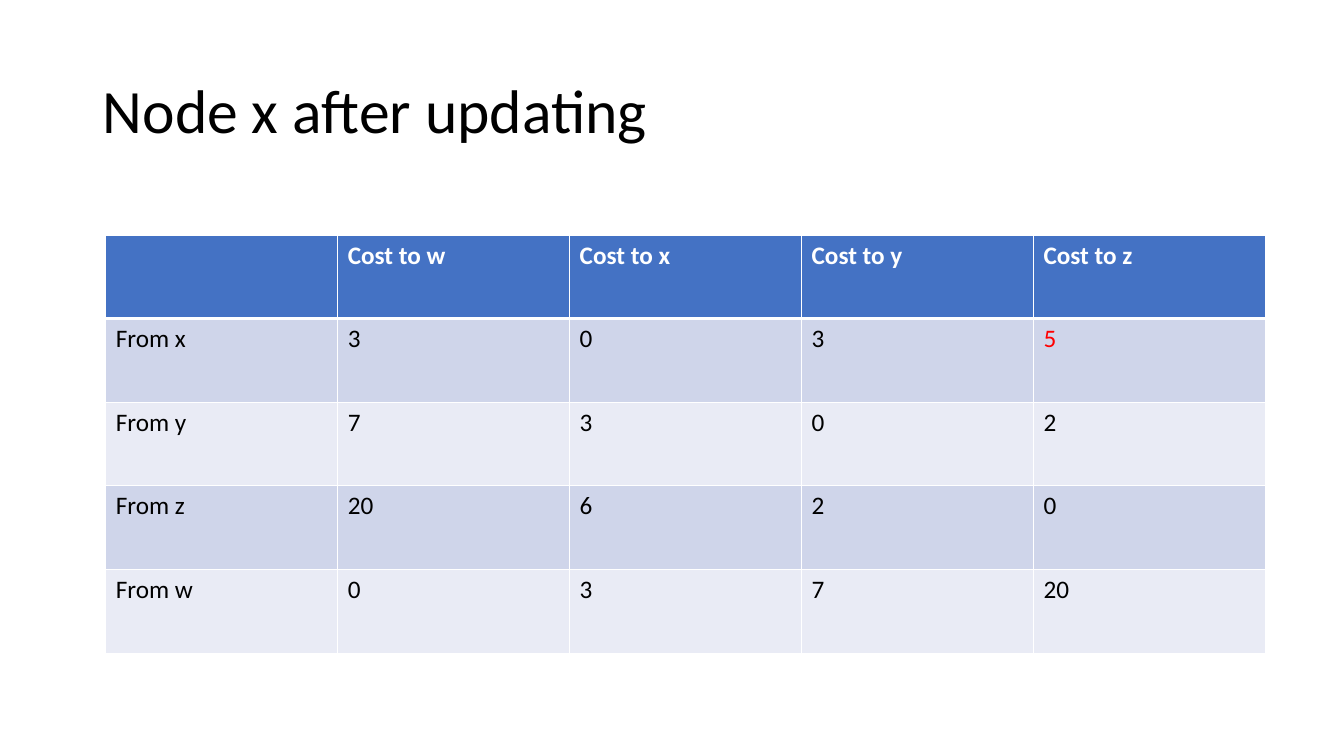
from dataclasses import dataclass

from lxml.etree import SubElement
from pptx import Presentation
from pptx.dml.color import RGBColor
from pptx.enum.text import MSO_ANCHOR, MSO_AUTO_SIZE, PP_ALIGN
from pptx.oxml.ns import qn
from pptx.slide import Slide
from pptx.table import _Cell
from pptx.util import Inches, Pt


@dataclass(frozen=True)
class Theme:
    font: str = "Calibri"
    title_size: int = 44
    table_size: int = 18
    text: str = "000000"
    white: str = "FFFFFF"
    changed: str = "FF0000"
    header: str = "4472C4"
    bands: tuple[str, str] = ("CFD5EA", "E9EBF5")


@dataclass(frozen=True)
class CellStyle:
    fill: str
    color: str
    bold: bool = False
    top: int = 1
    bottom: int = 1


THEME = Theme()
TITLE = "Node x after updating"
COSTS = (
    ("", "Cost to w", "Cost to x", "Cost to y", "Cost to z"),
    ("From x", "3", "0", "3", "5"),
    ("From y", "7", "3", "0", "2"),
    ("From z", "20", "6", "2", "0"),
    ("From w", "0", "3", "7", "20"),
)
CHANGED_CELL = (1, 4)
COLUMN_WIDTH = 2.3
HEADER_HEIGHT = 0.82
ROW_HEIGHT = 0.83
RULE_WIDTH = 3


def add_title(slide: Slide) -> None:
    title = slide.shapes.title
    title.left, title.top = Inches(0.92), Inches(0.4)
    title.width, title.height = Inches(11.5), Inches(1.45)
    frame = title.text_frame
    frame.text = TITLE
    frame.auto_size = MSO_AUTO_SIZE.NONE
    frame.vertical_anchor = MSO_ANCHOR.MIDDLE
    paragraph = frame.paragraphs[0]
    paragraph.alignment = PP_ALIGN.LEFT
    paragraph.line_spacing = 0.9
    font = paragraph.runs[0].font
    font.name, font.size = THEME.font, Pt(THEME.title_size)
    font.color.rgb = RGBColor.from_string(THEME.text)


def set_borders(cell: _Cell, style: CellStyle) -> None:
    properties = cell._tc.get_or_add_tcPr()
    widths = {"lnL": 1, "lnR": 1, "lnT": style.top, "lnB": style.bottom}
    for position, (tag, width) in enumerate(widths.items()):
        line = SubElement(properties, qn(f"a:{tag}"), w=str(Pt(width)))
        fill = SubElement(line, qn("a:solidFill"))
        SubElement(fill, qn("a:srgbClr"), val=THEME.white)
        properties.insert(position, line)


def fill_cell(cell: _Cell, text: str, style: CellStyle) -> None:
    cell.text_frame.text = text
    cell.fill.solid()
    cell.fill.fore_color.rgb = RGBColor.from_string(style.fill)
    paragraph = cell.text_frame.paragraphs[0]
    paragraph.font.size = Pt(THEME.table_size)
    for run in paragraph.runs:
        run.font.name, run.font.size = THEME.font, Pt(THEME.table_size)
        run.font.bold = style.bold
        run.font.color.rgb = RGBColor.from_string(style.color)
    set_borders(cell, style)


def cell_style(row: int, column: int) -> CellStyle:
    if row == 0:
        return CellStyle(THEME.header, THEME.white, bold=True, bottom=RULE_WIDTH)
    color = THEME.changed if (row, column) == CHANGED_CELL else THEME.text
    top = RULE_WIDTH if row == 1 else 1
    return CellStyle(THEME.bands[(row - 1) % 2], color, top=top)


def add_cost_table(slide: Slide) -> None:
    row_count, column_count = len(COSTS), len(COSTS[0])
    table = slide.shapes.add_table(
        row_count, column_count, Inches(1.05), Inches(2.34),
        Inches(COLUMN_WIDTH * column_count),
        Inches(HEADER_HEIGHT + ROW_HEIGHT * (row_count - 1)),
    ).table
    for column in table.columns:
        column.width = Inches(COLUMN_WIDTH)
    for row_index, values in enumerate(COSTS):
        height = ROW_HEIGHT if row_index else HEADER_HEIGHT
        table.rows[row_index].height = Inches(height)
        for column_index, value in enumerate(values):
            style = cell_style(row_index, column_index)
            fill_cell(table.cell(row_index, column_index), value, style)


def main() -> None:
    presentation = Presentation()
    presentation.slide_width = Inches(13.33)
    presentation.slide_height = Inches(7.5)
    slide = presentation.slides.add_slide(presentation.slide_layouts[5])
    add_title(slide)
    add_cost_table(slide)
    presentation.save("out.pptx")


if __name__ == "__main__":
    main()
